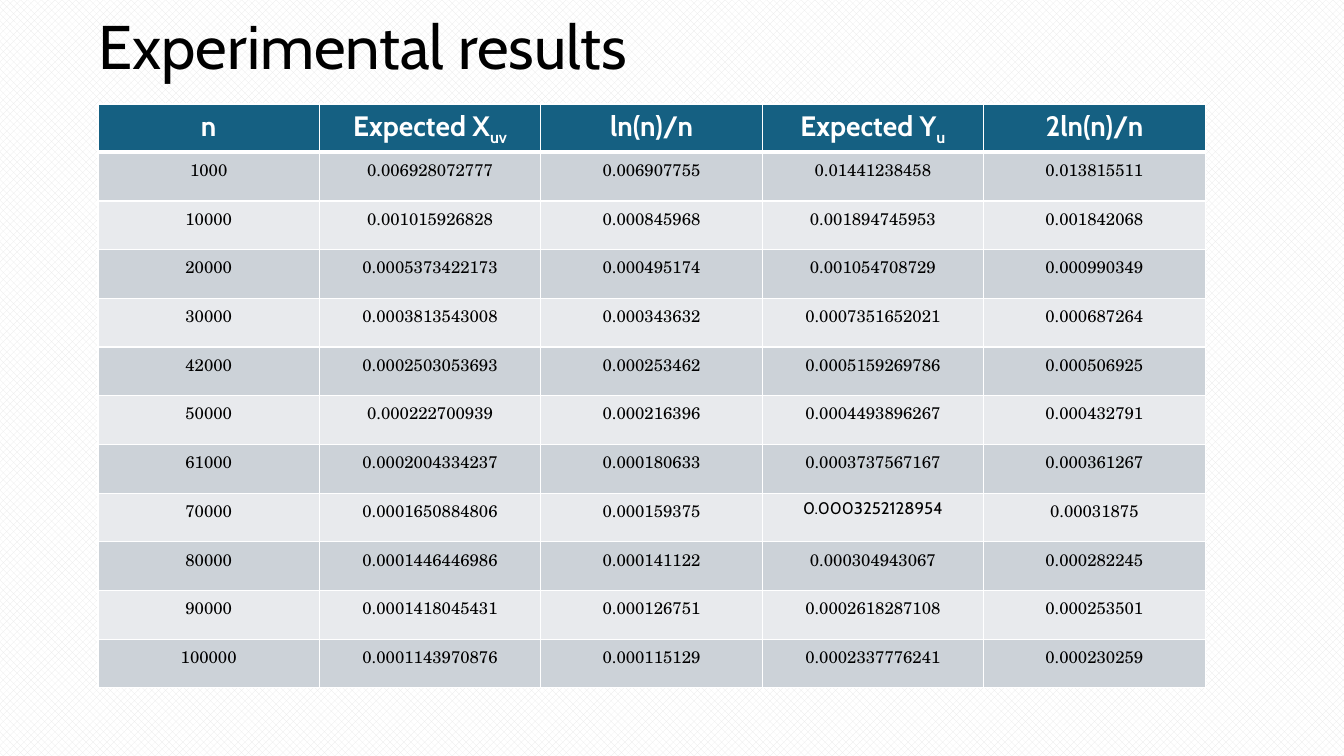
from dataclasses import dataclass

from lxml.etree import SubElement
from pptx import Presentation
from pptx.dml.color import RGBColor
from pptx.enum.dml import MSO_PATTERN
from pptx.enum.text import MSO_ANCHOR, PP_ALIGN
from pptx.oxml.ns import qn
from pptx.util import Emu, Inches, Pt


@dataclass(frozen=True)
class Theme:
    heading_font: str = "Cabin"
    number_font: str = "TeX Gyre Schola"
    title_size: int = 44
    header_size: int = 20
    number_size: int = 12
    ink: str = "000000"
    paper: str = "FFFFFF"
    hatch: str = "E8E8E8"
    header_fill: str = "156082"
    bands: tuple = ("CCD2D8", "E8EAED")
    grid_width: int = 1
    header_rule_width: int = 3


THEME = Theme()
EMU_PER_PX = 914400 / 100.8
TITLE_BOX = (88, -23, 1159, 146)
TABLE_BOX = (98, 104, 1107, 584)
HEADER_HEIGHT = 48

# Each heading is its text and its subscript.
HEADINGS = [("n", ""), ("Expected X", "uv"), ("ln(n)/n", ""),
            ("Expected Y", "u"), ("2ln(n)/n", "")]
RESULTS = [
    ("1000", "0.006928072777", "0.006907755", "0.01441238458", "0.013815511"),
    ("10000", "0.001015926828", "0.000845968", "0.001894745953", "0.001842068"),
    ("20000", "0.0005373422173", "0.000495174", "0.001054708729", "0.000990349"),
    ("30000", "0.0003813543008", "0.000343632", "0.0007351652021", "0.000687264"),
    ("42000", "0.0002503053693", "0.000253462", "0.0005159269786", "0.000506925"),
    ("50000", "0.000222700939", "0.000216396", "0.0004493896267", "0.000432791"),
    ("61000", "0.0002004334237", "0.000180633", "0.0003737567167", "0.000361267"),
    ("70000", "0.0001650884806", "0.000159375", "0.0003252128954", "0.00031875"),
    ("80000", "0.0001446446986", "0.000141122", "0.000304943067", "0.000282245"),
    ("90000", "0.0001418045431", "0.000126751", "0.0002618287108", "0.000253501"),
    ("100000", "0.0001143970876", "0.000115129", "0.0002337776241", "0.000230259"),
]
HEADING_FONT_VALUES = {"0.0003252128954"}


def px(length):
    return Emu(round(length * EMU_PER_PX))


def color(code):
    return RGBColor.from_string(code)


def set_font(paragraph, family, size, code, bold=False):
    font = paragraph.font
    font.name, font.size, font.bold = family, Pt(size), bold
    font.color.rgb = color(code)


def set_borders(cell, top, bottom):
    """Rule all four sides; top and bottom are widths in points."""
    properties = cell._tc.get_or_add_tcPr()
    widths = {"lnL": THEME.grid_width, "lnR": THEME.grid_width,
              "lnT": top, "lnB": bottom}
    for side, width in widths.items():
        line = SubElement(properties, qn(f"a:{side}"), w=str(Pt(width)))
        fill = SubElement(line, qn("a:solidFill"))
        SubElement(fill, qn("a:srgbClr"), val=THEME.paper)


def fill_cell(cell, code, top, bottom):
    """Style the cell and return its centred paragraph."""
    set_borders(cell, top, bottom)
    cell.fill.solid()
    cell.fill.fore_color.rgb = color(code)
    paragraph = cell.text_frame.paragraphs[0]
    paragraph.alignment = PP_ALIGN.CENTER
    return paragraph


def paint_background(slide):
    fill = slide.background.fill
    fill.patterned()
    fill.pattern = MSO_PATTERN.PERCENT_50
    fill.fore_color.rgb = color(THEME.hatch)
    fill.back_color.rgb = color(THEME.paper)


def place_title(slide, box, wording):
    title = slide.shapes.title
    title.left, title.top, title.width, title.height = map(px, box)
    frame = title.text_frame
    frame.text = wording
    frame.vertical_anchor = MSO_ANCHOR.MIDDLE
    heading = frame.paragraphs[0]
    heading.alignment = PP_ALIGN.LEFT
    heading.line_spacing = 0.9
    set_font(heading, THEME.heading_font, THEME.title_size, THEME.ink)


def fill_header(table):
    for cell, (label, subscript) in zip(table.rows[0].cells, HEADINGS):
        heading = fill_cell(cell, THEME.header_fill,
                            THEME.grid_width, THEME.header_rule_width)
        heading.add_run().text = label
        if subscript:
            run = heading.add_run()
            run.text = subscript
            run._r.get_or_add_rPr().set("baseline", "-25000")
        set_font(heading, THEME.heading_font, THEME.header_size, THEME.paper, bold=True)


def fill_results(table):
    for index, values in enumerate(RESULTS):
        top = THEME.grid_width if index else THEME.header_rule_width
        for cell, value in zip(table.rows[index + 1].cells, values):
            number = fill_cell(cell, THEME.bands[index % 2], top, THEME.grid_width)
            number.add_run().text = value
            family = (THEME.heading_font if value in HEADING_FONT_VALUES
                      else THEME.number_font)
            set_font(number, family, THEME.number_size, THEME.ink)


def place_results_table(slide, box):
    width, height = box[2:]
    table = slide.shapes.add_table(len(RESULTS) + 1, len(HEADINGS), *map(px, box)).table
    for column in table.columns:
        column.width = px(width / len(HEADINGS))
    for row in table.rows:
        row.height = px((height - HEADER_HEIGHT) / len(RESULTS))
    table.rows[0].height = px(HEADER_HEIGHT)
    fill_header(table)
    fill_results(table)


def main():
    presentation = Presentation()
    presentation.slide_width, presentation.slide_height = Inches(13.33), Inches(7.5)
    title_only = presentation.slide_layouts[5]
    slide = presentation.slides.add_slide(title_only)
    paint_background(slide)
    place_title(slide, TITLE_BOX, "Experimental results")
    place_results_table(slide, TABLE_BOX)
    presentation.save("out.pptx")


if __name__ == "__main__":
    main()
